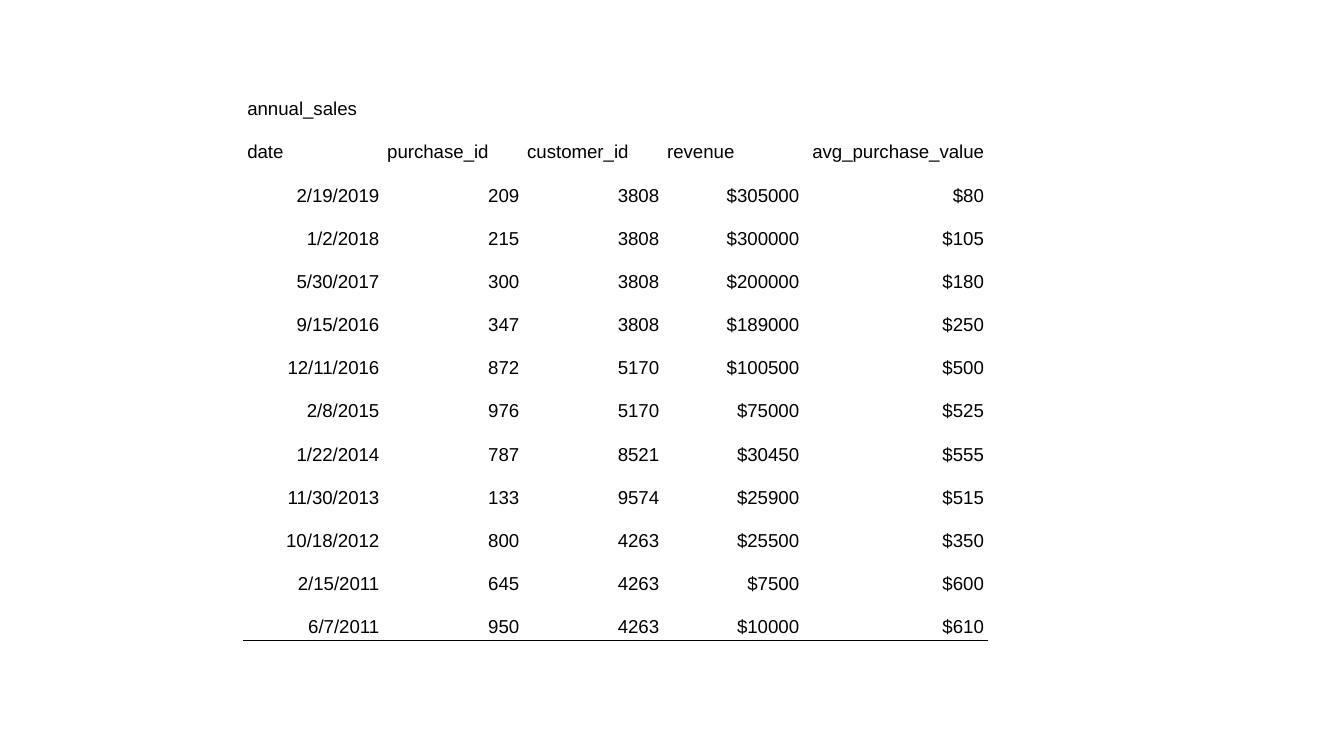
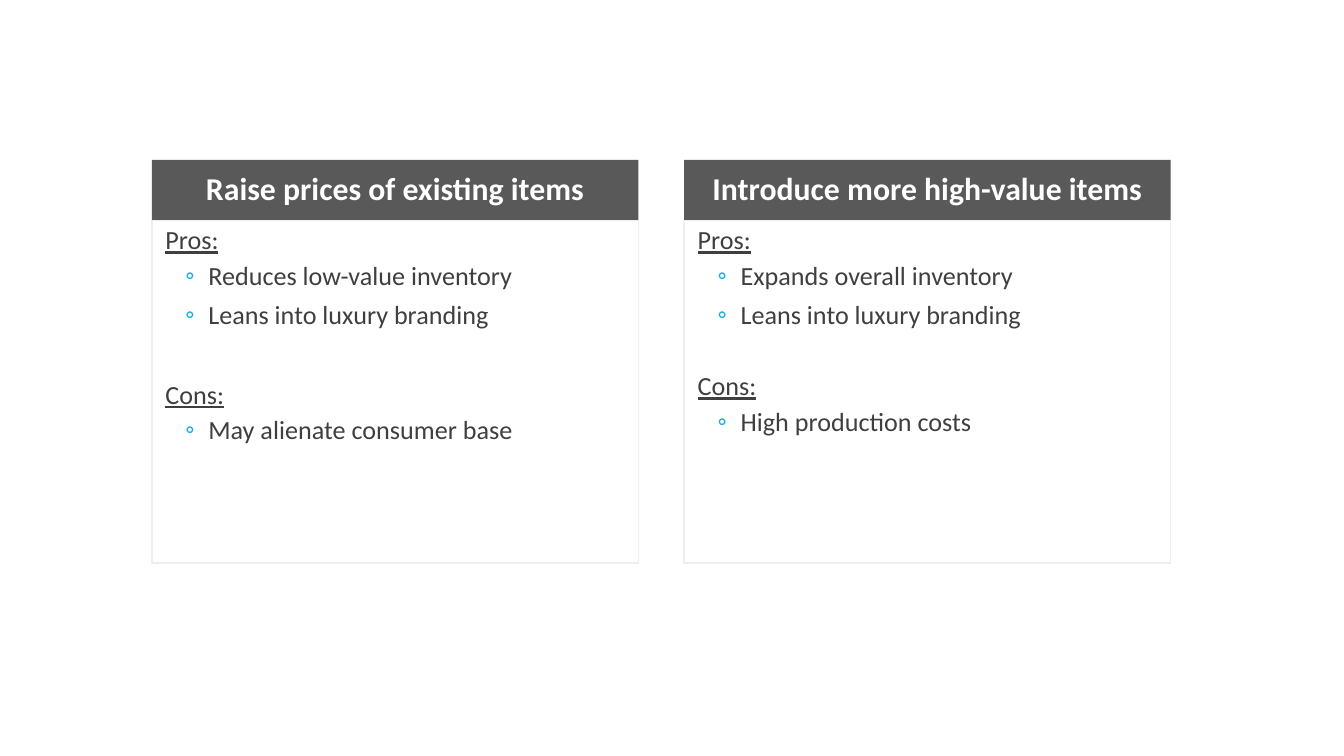
from lxml.etree import SubElement
from pptx import Presentation
from pptx.dml.color import RGBColor
from pptx.enum.shapes import MSO_SHAPE as Shape
from pptx.enum.text import MSO_ANCHOR as Anchor, PP_ALIGN as Align
from pptx.oxml import parse_xml
from pptx.oxml.ns import nsdecls, qn
from pptx.util import Inches, Pt

SLIDE_WIDTH = 10
SLIDE_HEIGHT = SLIDE_WIDTH * 9 / 16

COLORS = {
    "black": "000000",
    "white": "FFFFFF",
    "header": "595959",
    "body": "3F3F3F",
    "outline": "EEEEEE",
    "bullet": "1CADE4",
}

SALES_TITLE = "annual_sales"
SALES_HEADERS = ["date", "purchase_id", "customer_id", "revenue", "avg_purchase_value"]
SALES = [
    ("2/19/2019", "209", "3808", "$305000", "$80"),
    ("1/2/2018", "215", "3808", "$300000", "$105"),
    ("5/30/2017", "300", "3808", "$200000", "$180"),
    ("9/15/2016", "347", "3808", "$189000", "$250"),
    ("12/11/2016", "872", "5170", "$100500", "$500"),
    ("2/8/2015", "976", "5170", "$75000", "$525"),
    ("1/22/2014", "787", "8521", "$30450", "$555"),
    ("11/30/2013", "133", "9574", "$25900", "$515"),
    ("10/18/2012", "800", "4263", "$25500", "$350"),
    ("2/15/2011", "645", "4263", "$7500", "$600"),
    ("6/7/2011", "950", "4263", "$10000", "$610"),
]
COLUMN_WIDTHS = [points / 72 for points in (75, 75, 75, 75, 99, 75, 75)]
ROW_HEIGHT = 0.22
TABLE_LEFT, TABLE_TOP = 1.81, 0.59
NO_STYLE = "{2D5ABB26-0587-4C30-8999-92F81FD0307C}"

OPTIONS = [
    {
        "title": "Raise prices of existing items",
        "pros": ["Reduces low-value inventory", "Leans into luxury branding"],
        "cons": ["May alienate consumer base"],
        "cons_gap": 27.4,
    },
    {
        "title": "Introduce more high-value items",
        "pros": ["Expands overall inventory", "Leans into luxury branding"],
        "cons": ["High production costs"],
        "cons_gap": 23,
    },
]
CARD_LEFT, CARD_TOP, CARD_WIDTH, CARD_STEP = 1.13, 1.19, 3.62, 3.96
HEADER_HEIGHT, BODY_HEIGHT = 0.45, 2.55

FONTS = {
    "cell": {"name": "Arial", "size": Pt(10), "color": "black"},
    "header": {"name": "Calibri", "size": Pt(17), "bold": True, "color": "white"},
    "label": {"name": "Calibri", "size": Pt(14), "underline": True, "color": "body"},
    "item": {"name": "Calibri", "size": Pt(14), "color": "body"},
}
CELL_FORMAT = {
    "margin_left": Inches(0.03),
    "margin_right": Inches(0.03),
    "margin_top": Inches(1.5 / 72),
    "margin_bottom": Inches(1.5 / 72),
    "vertical_anchor": Anchor.BOTTOM,
}
HEADER_FRAME = {"word_wrap": True, "vertical_anchor": Anchor.MIDDLE}
BODY_FRAME = {
    "word_wrap": True,
    "vertical_anchor": Anchor.TOP,
    "margin_left": 0,
    "margin_right": 0,
}


def color(name):
    return RGBColor.from_string(COLORS[name])


def apply(target, values):
    for name, value in values.items():
        setattr(target, name, value)


def write(paragraph, text, style, **layout):
    apply(paragraph, layout)
    run = paragraph.add_run()
    run.text = text
    for name, value in FONTS[style].items():
        if name == "color":
            run.font.color.rgb = color(value)
        else:
            setattr(run.font, name, value)


def add_border(cell, side):
    cell._tc.get_or_add_tcPr().insert(0, parse_xml(
        f'<a:{side} {nsdecls("a")} w="9525"><a:solidFill>'
        f'<a:srgbClr val="{COLORS["black"]}"/></a:solidFill></a:{side}>'
    ))


def set_empty_font(paragraph):
    end_format = paragraph._p.get_or_add_endParaRPr()
    end_format.set("sz", "1800")
    SubElement(end_format, qn("a:latin")).set("typeface", "Arial")


def add_sales_table(slide):
    rows = [(SALES_TITLE,), SALES_HEADERS, *SALES, ()]
    frame = slide.shapes.add_table(
        len(rows), len(COLUMN_WIDTHS), Inches(TABLE_LEFT), Inches(TABLE_TOP),
        Inches(sum(COLUMN_WIDTHS)), Inches(ROW_HEIGHT * len(rows)))
    table = frame.table
    apply(table, {"first_row": False, "horz_banding": False})
    next(frame._element.iter(qn("a:tableStyleId"))).text = NO_STYLE
    for column, width in zip(table.columns, COLUMN_WIDTHS):
        column.width = Inches(width)
    last_filled = len(rows) - 2
    for row_index, values in enumerate(rows):
        table.rows[row_index].height = Inches(ROW_HEIGHT)
        for column_index in range(len(COLUMN_WIDTHS)):
            cell = table.cell(row_index, column_index)
            apply(cell, CELL_FORMAT)
            cell.fill.background()
            paragraph = cell.text_frame.paragraphs[0]
            if column_index < len(values):
                right = row_index > 1 or values[column_index] == SALES_HEADERS[-1]
                write(paragraph, values[column_index], "cell", line_spacing=1.15,
                      alignment=Align.RIGHT if right else Align.LEFT)
            else:
                set_empty_font(paragraph)
            if column_index < len(SALES_HEADERS) and row_index >= last_filled:
                add_border(cell, "lnB" if row_index == last_filled else "lnT")


def add_rectangle(slide, left, top, height, frame_format):
    shape = slide.shapes.add_shape(
        Shape.RECTANGLE, Inches(left), Inches(top), Inches(CARD_WIDTH), Inches(height))
    shape.shadow.inherit = False
    apply(shape.text_frame, frame_format)
    return shape


def set_indent(paragraph, left, hanging=0.0, bullet=None):
    properties = paragraph._p.get_or_add_pPr()
    properties.set("marL", str(Inches(left)))
    properties.set("indent", str(Inches(-hanging)))
    if bullet:
        bullet_color = SubElement(properties, qn("a:buClr"))
        SubElement(bullet_color, qn("a:srgbClr")).set("val", COLORS["bullet"])
        SubElement(properties, qn("a:buFont")).set("typeface", "Calibri")
        SubElement(properties, qn("a:buChar")).set("char", bullet)


def add_option(slide, left, option):
    header = add_rectangle(slide, left, CARD_TOP, HEADER_HEIGHT, HEADER_FRAME)
    header.fill.solid()
    header.fill.fore_color.rgb = color("header")
    header.line.fill.background()
    write(header.text_frame.paragraphs[0], option["title"], "header",
          alignment=Align.CENTER, line_spacing=0.9)

    body = add_rectangle(slide, left, CARD_TOP + HEADER_HEIGHT, BODY_HEIGHT, BODY_FRAME)
    body.fill.background()
    body.line.color.rgb = color("outline")
    body.line.width = Pt(0.75)
    text_frame = body.text_frame
    groups = [("Pros:", option["pros"], 0), ("Cons:", option["cons"], option["cons_gap"])]
    for group_index, (label, items, gap) in enumerate(groups):
        paragraph = text_frame.add_paragraph() if group_index else text_frame.paragraphs[0]
        write(paragraph, label, "label", alignment=Align.LEFT,
              line_spacing=0.9, space_before=Pt(gap))
        set_indent(paragraph, 0.1)
        for item_index, item in enumerate(items):
            paragraph = text_frame.add_paragraph()
            write(paragraph, item, "item", alignment=Align.LEFT, level=1,
                  line_spacing=0.9, space_before=Pt(6 if item_index else 4))
            set_indent(paragraph, 0.42, 0.17, "◦")


def main():
    presentation = Presentation()
    presentation.slide_width = Inches(SLIDE_WIDTH)
    presentation.slide_height = Inches(SLIDE_HEIGHT)
    blank = presentation.slide_layouts[6]
    add_sales_table(presentation.slides.add_slide(blank))
    options_slide = presentation.slides.add_slide(blank)
    for index, option in enumerate(OPTIONS):
        add_option(options_slide, CARD_LEFT + index * CARD_STEP, option)
    presentation.save("out.pptx")


if __name__ == "__main__":
    main()
